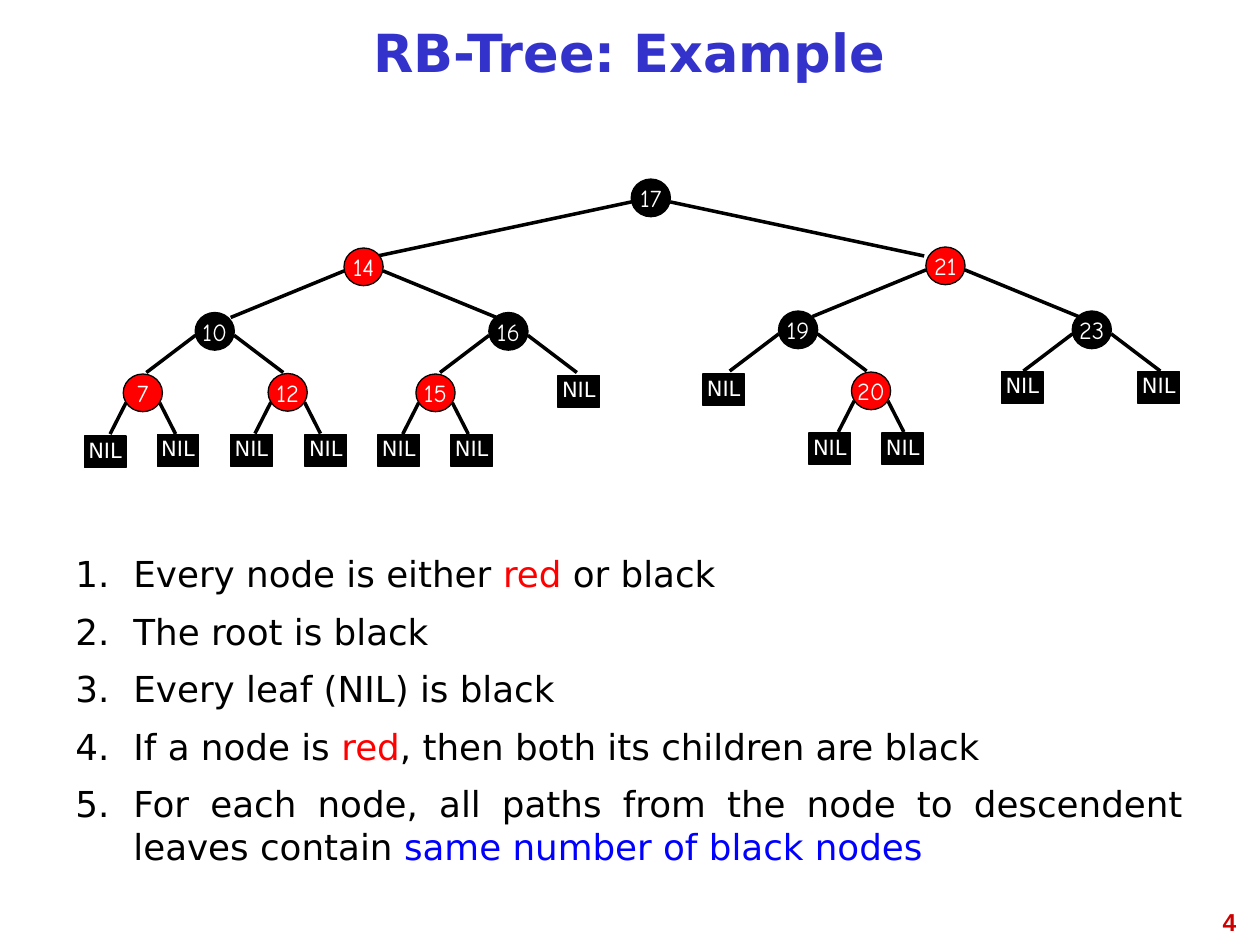
from lxml.etree import SubElement
from pptx import Presentation
from pptx.dml.color import RGBColor
from pptx.enum.shapes import MSO_CONNECTOR, MSO_SHAPE
from pptx.enum.text import MSO_ANCHOR, PP_ALIGN
from pptx.oxml.ns import qn
from pptx.util import Cm, Pt

COLORS = {
    "black": "000000",
    "white": "FFFFFF",
    "red": "FF0000",
    "blue": "0000FF",
    "title": "3333CC",
    "number": "CC0000",
}
BODY_FONT = "DejaVu Sans"
NODE_FONT = "Comic Neue"
NODE_SIZE = (0.79, 0.76)
LEAF_SIZE = (0.84, 0.64)

LEVELS = [
    [("17", 13.12, 3.99)],
    [("14", 7.33, 5.38), ("21", 19.06, 5.36)],
    [("10", 4.33, 6.68), ("16", 10.25, 6.68), ("19", 16.09, 6.65), ("23", 22.01, 6.65)],
    [("7", 2.88, 7.92), ("12", 5.8, 7.91), ("15", 8.78, 7.92), ("20", 17.56, 7.88)],
]
EDGE_OFFSETS = [
    ((0.39, 0.08), (5.51, 1.17)),
    ((0.39, 0.08), (2.68, 1.02)),
    ((0.39, 0.08), (1.38, 0.83)),
    ((0.34, 0.2), (0.66, 0.83)),
]
LEAVES = [
    (2.12, 9.11), (3.59, 9.08), (5.07, 9.08), (6.57, 9.08), (8.04, 9.08), (9.51, 9.08),
    (16.73, 9.05), (18.2, 9.05),
    (11.67, 7.89), (14.59, 7.86), (20.61, 7.81), (23.36, 7.81),
]
RULES = [
    [("Every node is either ", "black"), ("red", "red"), (" or black", "black")],
    [("The root is black", "black")],
    [("Every leaf (NIL) is black", "black")],
    [("If a node is ", "black"), ("red", "red"),
     (", then both its children are black", "black")],
    [("For each node, all paths from the node to descendent leaves contain ", "black"),
     ("same number of black nodes", "blue")],
]


def color(name):
    """Return the named colour."""
    return RGBColor.from_string(COLORS[name])


def write_text(paragraph, text, *, size, font=BODY_FONT, fill="black", bold=False,
               align=PP_ALIGN.CENTER, spacing=None):
    """Add a formatted run to a paragraph."""
    paragraph.alignment = align
    if spacing:
        paragraph.line_spacing = spacing
    run = paragraph.add_run()
    run.text = text
    run.font.size = Pt(size)
    run.font.name = font
    run.font.bold = bold
    run.font.color.rgb = color(fill)


def add_text_box(slide, left, top, width, height, anchor=MSO_ANCHOR.TOP):
    """Add a wrapping text box and return its text frame."""
    frame = slide.shapes.add_textbox(Cm(left), Cm(top), Cm(width), Cm(height)).text_frame
    frame.word_wrap = True
    frame.vertical_anchor = anchor
    return frame


def add_cell(slide, kind, center, extent, background, text, **text_format):
    """Add a labelled tree shape around its center."""
    (x, y), (width, height) = center, extent
    shape = slide.shapes.add_shape(
        kind, Cm(x - width / 2), Cm(y - height / 2), Cm(width), Cm(height))
    shape.shadow.inherit = False
    shape.fill.solid()
    shape.fill.fore_color.rgb = color(background)
    shape.line.color.rgb = color("black")
    shape.line.width = Pt(0.75)
    frame = shape.text_frame
    frame.word_wrap = False
    frame.vertical_anchor = MSO_ANCHOR.MIDDLE
    write_text(frame.paragraphs[0], text, fill="white", **text_format)


def add_edges(slide, x, y, offsets):
    """Draw the left and right edges that leave a node."""
    (start_x, start_y), (end_x, end_y) = offsets
    for side in (-1, 1):
        connector = slide.shapes.add_connector(
            MSO_CONNECTOR.STRAIGHT,
            Cm(x + side * start_x), Cm(y + start_y),
            Cm(x + side * end_x), Cm(y + end_y))
        connector.line.color.rgb = color("black")
        connector.line.width = Pt(2)
        SubElement(connector._element.spPr, qn("a:effectLst"))


def add_tree(slide):
    """Draw the red-black tree, whose levels alternate in colour."""
    for depth, (nodes, offsets) in enumerate(zip(LEVELS, EDGE_OFFSETS)):
        for value, x, y in nodes:
            add_edges(slide, x, y, offsets)
            add_cell(slide, MSO_SHAPE.OVAL, (x, y), NODE_SIZE,
                     "red" if depth % 2 else "black", value, size=14, font=NODE_FONT)
    for center in LEAVES:
        add_cell(slide, MSO_SHAPE.RECTANGLE, center, LEAF_SIZE, "black", "NIL",
                 size=12, spacing=0.81)


def add_rules(slide):
    """Write the numbered list of tree properties."""
    frame = add_text_box(slide, 1.27, 11, 22.83, 6.78)
    for index, runs in enumerate(RULES):
        paragraph = frame.add_paragraph() if index else frame.paragraphs[0]
        properties = paragraph._p.get_or_add_pPr()
        properties.set("marL", str(Cm(1.17)))
        properties.set("indent", str(-Cm(1.17)))
        if index:
            paragraph.space_before = Pt(8.4)
        SubElement(properties, qn("a:buFont"), typeface=BODY_FONT)
        SubElement(properties, qn("a:buAutoNum"), type="arabicPeriod")
        for text, fill in runs:
            write_text(paragraph, text, size=20.4, fill=fill, align=PP_ALIGN.JUSTIFY)


def main():
    """Build the slide and save it."""
    presentation = Presentation()
    presentation.slide_width = Cm(25.4)
    presentation.slide_height = Cm(19.05)
    slide = presentation.slides.add_slide(presentation.slide_layouts[6])
    number = add_text_box(slide, 19.25, 18.16, 5.92, 1.32)
    write_text(number.paragraphs[0], "4", size=14, font="Arial", fill="number",
               bold=True, align=PP_ALIGN.RIGHT)
    title = add_text_box(slide, 1.27, 0.2, 22.83, 1.9, MSO_ANCHOR.MIDDLE)
    write_text(title.paragraphs[0], "RB-Tree: Example", size=30, fill="title",
               bold=True, spacing=0.81)
    add_rules(slide)
    add_tree(slide)
    presentation.save("out.pptx")


if __name__ == "__main__":
    main()
